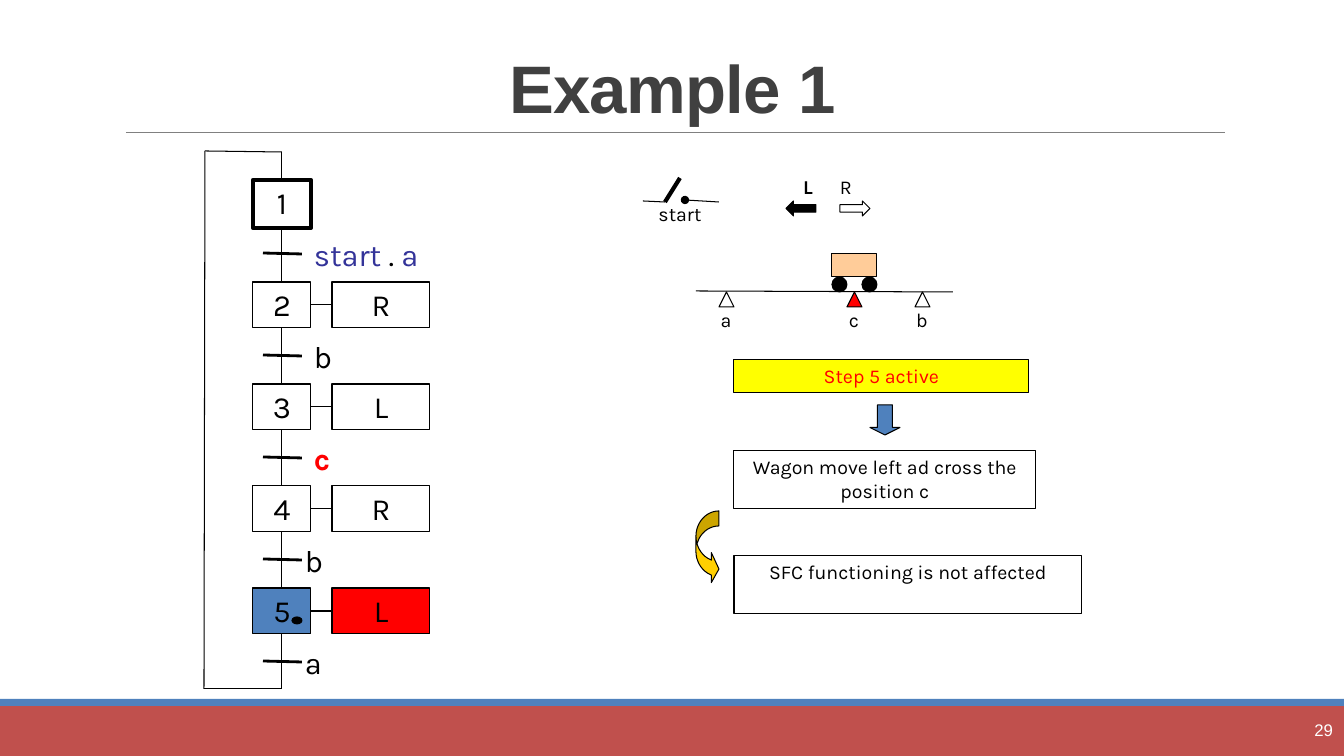
from lxml import etree
from pptx import Presentation
from pptx.dml.color import RGBColor
from pptx.enum.shapes import MSO_CONNECTOR, MSO_SHAPE
from pptx.enum.text import MSO_ANCHOR, PP_ALIGN
from pptx.oxml.ns import qn
from pptx.util import Emu, Pt

RECT, OVAL, TRIANGLE = MSO_SHAPE.RECTANGLE, MSO_SHAPE.OVAL, MSO_SHAPE.ISOSCELES_TRIANGLE
LEFT_ARROW, RIGHT_ARROW = MSO_SHAPE.LEFT_ARROW, MSO_SHAPE.RIGHT_ARROW
DOWN_ARROW, CURVED_ARROW = MSO_SHAPE.DOWN_ARROW, MSO_SHAPE.CURVED_RIGHT_ARROW
STRAIGHT = MSO_CONNECTOR.STRAIGHT
LEFT, CENTER, RIGHT = PP_ALIGN.LEFT, PP_ALIGN.CENTER, PP_ALIGN.RIGHT
TOP, MIDDLE, BOTTOM = MSO_ANCHOR.TOP, MSO_ANCHOR.MIDDLE, MSO_ANCHOR.BOTTOM

BLACK, WHITE, RED, BLUE, INDIGO = "000000", "FFFFFF", "FF0000", "4F81BD", "333399"
WIDTH, HEIGHT = 1344, 756
TITLE_TEXT, PAGE_NUMBER = "Example 1", "29"

# Step, step fill, action, action fill, label offset, runs of the transition label
STEPS = [
    ("1", None, None, None, 61, [("start ", INDIGO), (". ", BLACK), ("a", INDIGO)]),
    ("2", None, "R", None, 61, [("b", BLACK)]),
    ("3", None, "L", None, 61, [("c", RED, True)]),
    ("4", None, "R", None, 52, [("b", BLACK)]),
    ("5", BLUE, "L", RED, 52, [("a", BLACK)]),
]
# Top offset, width, height, text, fill, text colour
NOTES = [
    (0, 295, 33, "Step 5 active", "FFFF00", RED),
    (91, 302, 58, "Wagon move left ad cross the position c", None, BLACK),
    (196, 348, 58, "SFC functioning is not affected", None, BLACK),
]


def px(n):
    return Emu(round(n * 12192000 / WIDTH))


def color(hex_code):
    return RGBColor.from_string(hex_code)


def write(sp, runs, size, align=CENTER, font="Karla", spacing=None, anchor=TOP,
          inset=(0, 0)):
    tf = sp.text_frame
    tf.word_wrap = True
    tf.vertical_anchor = anchor
    tf.margin_left = tf.margin_right = px(inset[0])
    tf.margin_top = tf.margin_bottom = px(inset[1])
    p = tf.paragraphs[0]
    p.alignment = align
    p.line_spacing = spacing
    for text, ink, *bold in runs:
        r = p.add_run()
        r.text = text
        r.font.name, r.font.size = font, Pt(size)
        r.font.color.rgb = color(ink)
        r.font.bold = bool(bold)


def add_label(sl, x, y, w, h, runs, size=14, **style):
    sp = sl.shapes.add_textbox(px(x), px(y), px(w), px(h))
    style.setdefault("spacing", Pt(26.1 if size == 22 else 17.1))
    write(sp, runs, size, **style)


def add_shape(sl, kind, x, y, w, h, fill=None, line=BLACK, weight=0.75):
    sp = sl.shapes.add_shape(kind, px(x), px(y), px(w), px(h))
    sp.shadow.inherit = False
    if fill:
        sp.fill.solid()
        sp.fill.fore_color.rgb = color(fill)
    else:
        sp.fill.background()
    if line:
        sp.line.color.rgb = color(line)
        sp.line.width = Pt(weight)
    else:
        sp.line.fill.background()
    return sp


def add_line(sl, x1, y1, x2, y2, weight=0.75, ink=BLACK, dot=False):
    cx = sl.shapes.add_connector(STRAIGHT, px(x1), px(y1), px(x2), px(y2))
    cx.line.color.rgb = color(ink)
    cx.line.width = Pt(weight)
    if dot:
        etree.SubElement(cx.line._get_or_add_ln(), qn("a:headEnd"), type="oval")
    etree.SubElement(cx._element.spPr, qn("a:effectLst"))
    return cx


def join(cx, start, start_side, end, end_side):
    cx.begin_connect(start, start_side)
    cx.end_connect(end, end_side)


def add_frame(sl):
    """Title, rule, footer bands and page number."""
    add_shape(sl, RECT, 0, 706, WIDTH, 50, "C0504D", None)
    add_shape(sl, RECT, 0, 699, WIDTH, 7, BLUE, None)
    add_line(sl, 126, 132, 1225, 132, 0.5, "808080")
    title = sl.shapes.title
    title.left, title.top, title.width, title.height = px(118), px(17), px(1109), px(115)
    write(title, [(TITLE_TEXT, "404040", True)], 48, font="Arial", spacing=0.85,
          anchor=BOTTOM, inset=(10, 5))
    title.text_frame.paragraphs[0].runs[0]._r.get_or_add_rPr().set("spc", "-50")
    add_label(sl, 1199, 710, 144, 40, [(PAGE_NUMBER, WHITE)], 12, align=RIGHT,
              font="Arial", spacing=1.0, anchor=MIDDLE, inset=(10, 5))


def add_step_chart(sl, x, y):
    """Sequential chart; x, y is the corner of the first step."""
    step_w, step_h, pitch = 58, 46, 102
    mid, end = x + step_w // 2, y + 5 * pitch - 1
    previous = None
    for i, (name, fill, action, action_fill, label_dx, label) in enumerate(STEPS):
        top = y + i * pitch
        first = i == 0
        step = add_shape(sl, RECT, x, top, step_w, step_h + 2 * first, fill,
                         weight=3 if first else 0.75)
        write(step, [(name, BLACK)], 22, spacing=Pt(26.1), inset=(3, 4))
        if previous:
            join(add_line(sl, mid, top - 56, mid, top), previous, 2, step, 0)
        if action:
            box = add_shape(sl, RECT, x + 79, top, 98, step_h, action_fill)
            write(box, [(action, BLACK)], 22, spacing=Pt(26.1), inset=(3, 4))
            join(add_line(sl, x + step_w, top + 23, x + 79, top + 23), step, 3, box, 1)
        # Transition below the step
        add_line(sl, x + 10, top + 73, x + 49, top + 74, 2)
        add_label(sl, x + label_dx, top + 56, 130, 36, label, 22, align=LEFT)
        previous = step
    add_shape(sl, OVAL, x + 39, y + 4 * pitch + 29, 10, 7, BLACK)
    # Return path from the last step to the first
    add_line(sl, mid, end - 55, mid, end).begin_connect(previous, 2)
    route = [(mid, end), (x - 49, end), (x - 48, y - 29), (mid, y - 28), (mid, y)]
    for a, b in zip(route, route[1:]):
        add_line(sl, *a, *b)


def add_switch(sl, x, y):
    """Start switch; x, y is the left end of its wire."""
    add_line(sl, x, y, x + 22, y + 1)
    add_line(sl, x + 22, y + 1, x + 37, y - 23, 3)
    add_line(sl, x + 42, y - 1, x + 76, y + 1, dot=True)
    add_label(sl, x + 3, y + 1, 68, 24, [("start", BLACK)])


def add_directions(sl, x, y):
    """Left and right motion arrows with their letters above."""
    for name, kind, dx, fill, *bold in [("L", LEFT_ARROW, 0, BLACK, True),
                                        ("R", RIGHT_ARROW, 54, None)]:
        add_shape(sl, kind, x + dx, y, 30, 15, fill)
        letter_x = x + (8 if dx == 0 else 46)
        add_label(sl, letter_x, y - 26, 28, 22, [(name, BLACK, *bold)])


def add_wagon(sl, x, y):
    """Wagon on its rail; x, y is the left end of the rail."""
    add_line(sl, x, y, x + 257, y + 1)
    add_shape(sl, RECT, x + 136, y - 37, 45, 23, "FFCC99")
    for dx in (136, 166):
        add_shape(sl, OVAL, x + dx, y - 14, 15, 15, BLACK)
    for name, dx, fill in [("a", 23, None), ("c", 151, RED), ("b", 219, None)]:
        add_shape(sl, TRIANGLE, x + dx, y + 1, 15, 15, fill)
        add_label(sl, x + dx - 12, y + 17, 38, 24, [(name, BLACK)])


def add_notes(sl, x, y):
    """Boxed remarks linked by block arrows."""
    for dy, w, h, text, fill, ink in NOTES:
        box = add_shape(sl, RECT, x, y + dy, w, h, fill)
        write(box, [(text, ink)], 14, spacing=Pt(17.1), inset=(3, 4))
    down = add_shape(sl, DOWN_ARROW, x + 136, y + 45, 30, 30, BLUE)
    down.adjustments[1] = 0.25
    curved = add_shape(sl, CURVED_ARROW, x - 38, y + 151, 23, 73, "FFCF01")
    for i, value in enumerate((0.65, 1.3, 0.33)):
        curved.adjustments[i] = value


def main():
    prs = Presentation()
    prs.slide_width, prs.slide_height = px(WIDTH), px(HEIGHT)
    sl = prs.slides.add_slide(prs.slide_layouts[5])
    add_frame(sl)
    add_step_chart(sl, 253, 180)
    add_switch(sl, 643, 201)
    add_directions(sl, 786, 201)
    add_wagon(sl, 696, 291)
    add_notes(sl, 734, 360)
    prs.save("out.pptx")


if __name__ == "__main__":
    main()
